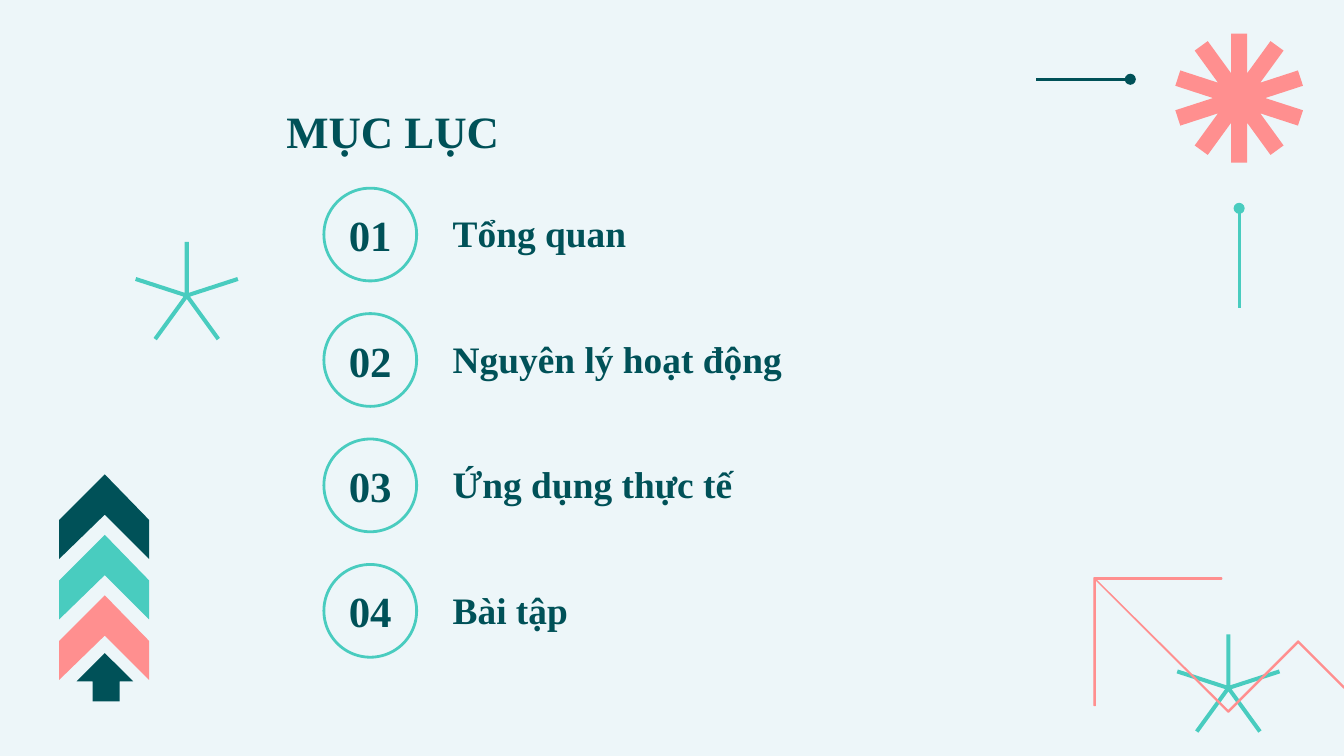
import math
from pptx import Presentation
from pptx import util as u
from pptx.dml.color import RGBColor
from pptx.enum import shapes, text
from pptx.oxml.ns import qn
from lxml import etree

THEME = {
    "paper": RGBColor.from_string("EDF6F9"),
    "dark": RGBColor.from_string("005158"),
    "teal": RGBColor.from_string("49CCBF"),
    "coral": RGBColor.from_string("FF8F8F"),
    "font": "Times New Roman",
    "title": 24, "number": 23, "topic": 20,
}
WIDTH, HEIGHT = 10, 5.625
TOPICS = ["Tổng quan", "Nguyên lý hoạt động", "Ứng dụng thực tế", "Bài tập"]

# Grid of the contents list
CIRCLE_COL, TOPIC_COL = 0.241 * WIDTH, 0.327 * WIDTH
FIRST_ROW, LAST_ROW = 1.4, 4.2
ROW = (LAST_ROW - FIRST_ROW) / (len(TOPICS) - 1)
CIRCLE, NUMBER_H, TOPIC_W, TOPIC_H = 0.69, 0.46, 4.66, 0.51

prs = Presentation()
prs.slide_width, prs.slide_height = u.Inches(WIDTH), u.Inches(HEIGHT)
slide = prs.slides.add_slide(prs.slide_layouts[5])
slide.background.fill.solid()
slide.background.fill.fore_color.rgb = THEME["paper"]


def outline(points, color):
    """Draw a closed, filled outline through points in inches."""
    corners = [(u.Inches(x), u.Inches(y)) for x, y in points]
    builder = slide.shapes.build_freeform(*corners[0])
    builder.add_line_segments(corners[1:], close=True)
    figure = builder.convert_to_shape()
    figure.shadow.inherit = False
    figure.fill.solid()
    figure.fill.fore_color.rgb = THEME[color]
    figure.line.fill.background()
    return figure


def write(box, words, size, anchor, align, spacing):
    """Fill a text shape with one bold line."""
    frame = box.text_frame
    frame.text = words
    settings = {"word_wrap": True, "auto_size": text.MSO_AUTO_SIZE.NONE,
                "vertical_anchor": anchor}
    settings.update({f"margin_{side}": u.Inches(0.1)
                     for side in ("left", "top", "right", "bottom")})
    for name, value in settings.items():
        setattr(frame, name, value)
    line = frame.paragraphs[0]
    line.alignment, line.line_spacing = align, spacing
    letters = {"name": THEME["font"], "size": u.Pt(THEME[size]), "bold": True}
    for name, value in letters.items():
        setattr(line.runs[0].font, name, value)
    line.runs[0].font.color.rgb = THEME["dark"]


# Stars: centre, number of rays, ray length, ray width, colour
for cx, cy, rays, length, width, color in [
    (9.14, 5.12, 5, 0.4, 0.03, "teal"),
    (9.22, 0.73, 10, 0.48, 0.12, "coral"),
    (1.39, 2.2, 5, 0.4, 0.03, "teal"),
]:
    half = width / 2
    valley = half / math.sin(math.pi / rays)
    star = []
    for ray in range(rays):
        turn = 2 * math.pi * ray / rays
        sin, cos = math.sin(turn), math.cos(turn)
        for side in (-half, half):
            star.append((cx + length * sin + side * cos,
                         cy - length * cos + side * sin))
        between = turn + math.pi / rays
        star.append((cx + valley * math.sin(between),
                     cy - valley * math.cos(between)))
    outline(star, color)

# Thin zigzag arrow running to the right edge
zigzag = outline([(9.09, 4.3), (9.09, 4.31), (8.15, 4.31), (9.14, 5.29),
                  (9.66, 4.77), (WIDTH, 5.11), (WIDTH, 5.12), (9.66, 4.78),
                  (9.14, 5.3), (8.15, 4.31), (8.15, 5.25), (8.14, 5.25),
                  (8.14, 4.3)], "coral")
zigzag.line.color.rgb = THEME["coral"]
zigzag.line.width = u.Pt(0.75)

# Pins with a round end
for x1, y1, x2, y2, color in [(9.22, 2.29, 9.22, 1.55, "teal"),
                              (7.71, 0.59, 8.41, 0.59, "dark")]:
    pin = slide.shapes.add_connector(
        shapes.MSO_CONNECTOR.STRAIGHT, *map(u.Inches, (x1, y1, x2, y2)))
    pin.line.color.rgb = THEME[color]
    pin.line.width = u.Pt(1.5)
    etree.SubElement(pin.line._get_or_add_ln(), qn("a:tailEnd"), type="oval")
    etree.SubElement(pin._element.spPr, qn("a:effectLst"))

# Stack of chevrons above a small arrow
LEFT, MIDDLE, RIGHT = 0.44, 0.78, 1.11
for step, color in enumerate(["dark", "teal", "coral"]):
    tip = 3.53 + 0.45 * step
    outline([(LEFT, tip + 0.34), (MIDDLE, tip), (RIGHT, tip + 0.34),
             (RIGHT, tip + 0.63), (MIDDLE, tip + 0.3), (LEFT, tip + 0.63)], color)
outline([(MIDDLE, 4.86), (0.57, 5.07), (0.69, 5.07), (0.69, 5.22),
         (0.89, 5.22), (0.89, 5.07), (0.99, 5.07)], "dark")

# Contents list
for index, topic in enumerate(TOPICS):
    top = FIRST_ROW + index * ROW
    ring = slide.shapes.add_shape(
        shapes.MSO_SHAPE.OVAL, *map(u.Inches, (CIRCLE_COL, top, CIRCLE, CIRCLE)))
    ring.shadow.inherit = False
    ring.fill.background()
    ring.line.color.rgb = THEME["teal"]
    ring.line.width = u.Pt(1.5)

    number = slide.shapes.add_textbox(*map(u.Inches, (
        CIRCLE_COL, top + (CIRCLE - NUMBER_H) / 2, CIRCLE, NUMBER_H)))
    write(number, f"{index + 1:02}", "number", text.MSO_ANCHOR.MIDDLE,
          text.PP_ALIGN.CENTER, 1.0)

    label = slide.shapes.add_textbox(*map(u.Inches, (
        TOPIC_COL, top + (CIRCLE - TOPIC_H) / 2, TOPIC_W, TOPIC_H)))
    write(label, topic, "topic", text.MSO_ANCHOR.BOTTOM,
          text.PP_ALIGN.LEFT, 1.15)

# Title
heading = slide.shapes.title
for name, value in {"left": 2.03, "top": 0.76, "width": 3.23, "height": 0.51}.items():
    setattr(heading, name, u.Inches(value))
write(heading, "MỤC LỤC", "title", text.MSO_ANCHOR.BOTTOM,
      text.PP_ALIGN.LEFT, 1.15)

prs.save("out.pptx")
